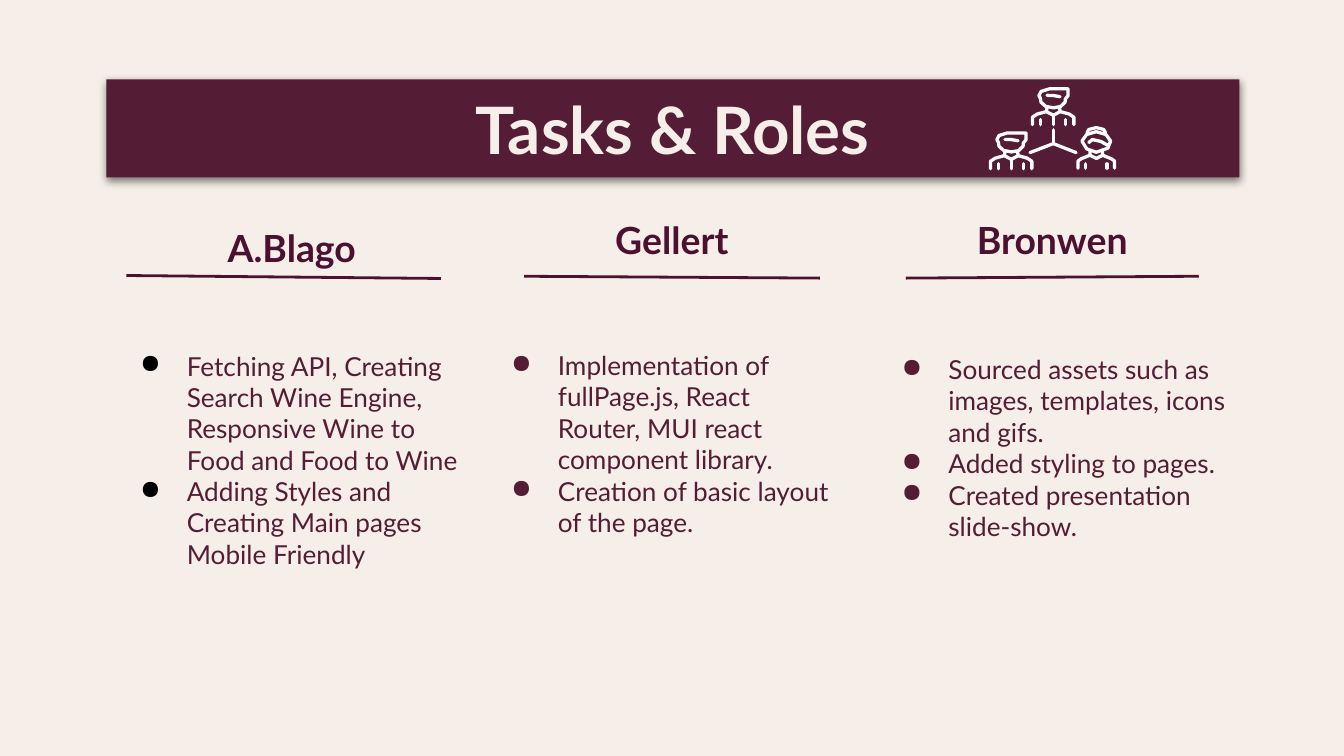
from lxml.etree import SubElement
from pptx import Presentation
from pptx.dml.color import RGBColor
from pptx.enum.shapes import MSO_CONNECTOR
from pptx.enum.text import MSO_ANCHOR, MSO_AUTO_SIZE, PP_ALIGN
from pptx.oxml.ns import qn
from pptx.util import Pt

COLORS = {
    "cream": "F6EEE8",
    "wine": "551C36",
    "plum": "4C1130",
    "black": "000000",
    "white": "FFFFFF",
}
FONT = "Lato"
INSET = 7.2

# Each column: left edge, name top, list height, rule ends, bullet colour
COLUMNS = [
    dict(name="A.Blago", x=57, name_x=57, name_y=117.4, list_h=185.8,
         rule=(67.7, 147.6, 236.2, 149.2), bullet="black",
         tasks=["Fetching API, Creating Search Wine Engine, "
                "Responsive Wine to Food and Food to Wine",
                "Adding Styles and Creating Main pages Mobile Friendly"]),
    dict(name="Gellert", x=255.8, name_x=260.6, name_y=113, list_h=168.5,
         rule=(280.8, 148, 439.2, 149), bullet="wine",
         tasks=["Implementation of fullPage.js, React Router, "
                "MUI react component library.",
                "Creation of basic layout of the page."]),
    dict(name="Bronwen", x=465, name_x=464.4, name_y=113, list_h=172.8,
         rule=(485.3, 149, 642.2, 148), bullet="wine",
         tasks=["Sourced assets such as images, templates, icons and gifs.",
                "Added styling to pages.",
                "Created presentation slide-show."]),
]
COLUMN_W, NAME_H, LIST_Y = 198.7, 30.2, 153.4

# Pen strokes of the team icon, in points from each figure's corner
MAN = [
    [(20, 0.8), (20, 4.5), (18.5, 6.3), (18.4, 8), (16, 10.3), (12.2, 11),
     (8, 10.2), (5.5, 8), (5.2, 6), (4.4, 4.4), (5.5, 2.2), (10, 0.8), (20, 0.8)],
    [(8.7, 4.3), (12, 4.4), (15.7, 5)],
    [(0.9, 20), (0.9, 16), (3.5, 14.3), (8.4, 13), (8.7, 11)],
    [(23.1, 20), (23.1, 16), (20.6, 14.3), (15.8, 13), (15.4, 11)],
    [(8.4, 13), (12.1, 15), (15.8, 13)],
    [(12.1, 15), (12.1, 20)],
    [(5.2, 17.3), (5.2, 20)],
    [(18.8, 17.3), (18.8, 20)],
]
WOMAN = [
    [(5.6, 3.6), (6.6, 1.8), (10.6, 0.8), (14.6, 1.8), (15.6, 3.6)],
    [(10.6, 3), (15.8, 4.5), (18.3, 8), (16.8, 11.8), (10.6, 14),
     (5.5, 12.2), (2.9, 8), (5.4, 4.5), (10.6, 3)],
    [(6.6, 8.8), (8.5, 7.2), (13, 8.2), (17, 10.4)],
    [(0.8, 22.5), (0.8, 18.7), (2.5, 17.5), (7.2, 15.6), (7.2, 13.5)],
    [(20.4, 22.5), (20.4, 18.7), (18.7, 17.5), (14, 15.6), (14, 13.5)],
    [(7.2, 15.6), (10.6, 17.3), (14, 15.6)],
    [(4.8, 20.2), (4.8, 22.5)],
    [(16.4, 20.2), (16.4, 22.5)],
]
LINKS = [
    [(0.8, 13), (13.3, 8.2), (25.5, 13)],
    [(13.3, 8.2), (13.3, 0.8)],
]


def rgb(name):
    return RGBColor.from_string(COLORS[name])


def set_frame(tf):
    tf.word_wrap = True
    tf.auto_size = MSO_AUTO_SIZE.NONE
    tf.vertical_anchor = MSO_ANCHOR.MIDDLE
    tf.margin_left = tf.margin_right = Pt(INSET)
    tf.margin_top = tf.margin_bottom = Pt(INSET)


def add_bullet(p, color):
    pPr = p._p.get_or_add_pPr()
    pPr.set("marL", str(Pt(36)))
    pPr.set("indent", str(-Pt(25)))
    clr = SubElement(pPr, qn("a:buClr"))
    SubElement(clr, qn("a:srgbClr"), val=COLORS[color])
    SubElement(pPr, qn("a:buChar"), char="●")


def write(p, text, size=14, color="wine", bold=False, align=PP_ALIGN.LEFT,
          bullet=None):
    p.alignment = align
    p.line_spacing = 1.0
    p.space_before = Pt(0)
    if bullet:
        add_bullet(p, bullet)
    r = p.add_run()
    r.text = text
    r.font.name, r.font.size, r.font.bold = FONT, Pt(size), bold
    r.font.color.rgb = rgb(color)


def add_text_box(s, x, y, w, h, lines, **fmt):
    tf = s.shapes.add_textbox(Pt(x), Pt(y), Pt(w), Pt(h)).text_frame
    set_frame(tf)
    for i, line in enumerate(lines):
        write(tf.paragraphs[0] if i == 0 else tf.add_paragraph(), line, **fmt)


def add_title_bar(s, x, y, w, h):
    title = s.shapes.title
    title.left, title.top, title.width, title.height = Pt(x), Pt(y), Pt(w), Pt(h)
    title.fill.solid()
    title.fill.fore_color.rgb = rgb("wine")
    title.line.fill.background()
    set_frame(title.text_frame)
    write(title.text_frame.paragraphs[0], "Tasks & Roles", size=35,
          color="cream", bold=True, align=PP_ALIGN.CENTER)
    # Soft shadow below the bar
    effects = SubElement(title._element.spPr, qn("a:effectLst"))
    shadow = SubElement(effects, qn("a:outerShdw"), blurRad=str(Pt(4.5)),
                        dist=str(Pt(1.5)), dir="5400000", algn="bl",
                        rotWithShape="0")
    clr = SubElement(shadow, qn("a:srgbClr"), val=COLORS["black"])
    SubElement(clr, qn("a:alpha"), val="50000")


def add_strokes(shapes, x, y, strokes):
    def place(points):
        return [(Pt(x + dx), Pt(y + dy)) for dx, dy in points]

    first, *others = [place(points) for points in strokes]
    pen = shapes.build_freeform(*first[0])
    pen.add_line_segments(first[1:], close=False)
    for points in others:
        pen.move_to(*points[0])
        pen.add_line_segments(points[1:], close=False)
    sp = pen.convert_to_shape()
    sp.shadow.inherit = False
    sp.fill.background()
    sp.line.color.rgb = rgb("white")
    sp.line.width = Pt(1.75)
    ln = sp.line._get_or_add_ln()
    ln.set("cap", "rnd")
    SubElement(ln, qn("a:round"))


def add_team_icon(s, x, y):
    shapes = s.shapes.add_group_shape().shapes
    add_strokes(shapes, x + 22.5, y, MAN)
    add_strokes(shapes, x, y + 23.6, MAN)
    add_strokes(shapes, x + 47, y + 20.8, WOMAN)
    add_strokes(shapes, x + 21.3, y + 22, LINKS)


def add_column(s, col):
    add_text_box(s, col["x"], LIST_Y, COLUMN_W, col["list_h"], col["tasks"],
                 bullet=col["bullet"])
    rule = s.shapes.add_connector(MSO_CONNECTOR.STRAIGHT,
                                  *[Pt(v) for v in col["rule"]])
    rule.line.color.rgb = rgb("plum")
    rule.line.width = Pt(1.5)
    SubElement(rule._element.spPr, qn("a:effectLst"))
    add_text_box(s, col["name_x"], col["name_y"], COLUMN_W, NAME_H,
                 [col["name"]], size=20, color="plum", bold=True,
                 align=PP_ALIGN.CENTER)


def main():
    prs = Presentation()
    prs.slide_width, prs.slide_height = Pt(720), Pt(405)
    s = prs.slides.add_slide(prs.slide_layouts[5])
    s.background.fill.solid()
    s.background.fill.fore_color.rgb = rgb("cream")

    # Title bar with the team icon
    add_title_bar(s, 57, 42.5, 607, 52.6)
    add_team_icon(s, 529.7, 46.8)

    # One column per team member
    for col in COLUMNS:
        add_column(s, col)

    prs.save("out.pptx")


if __name__ == "__main__":
    main()
